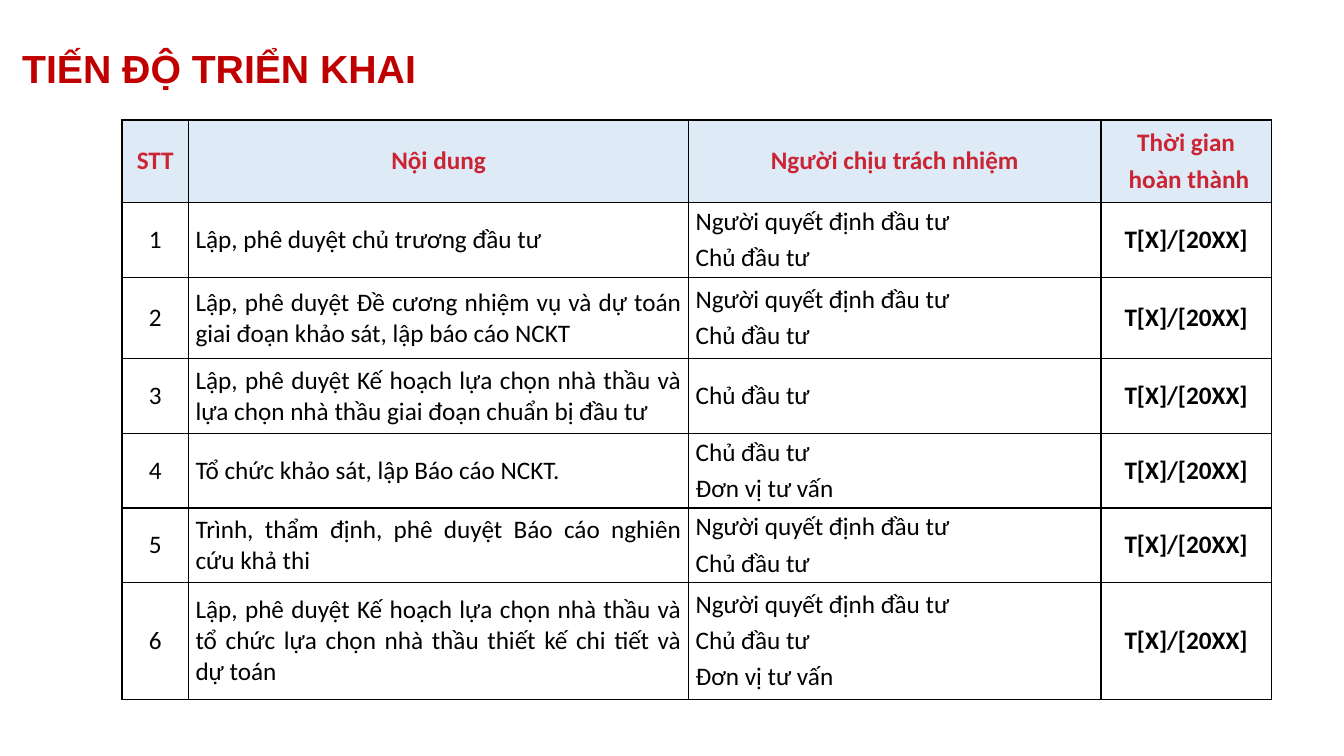
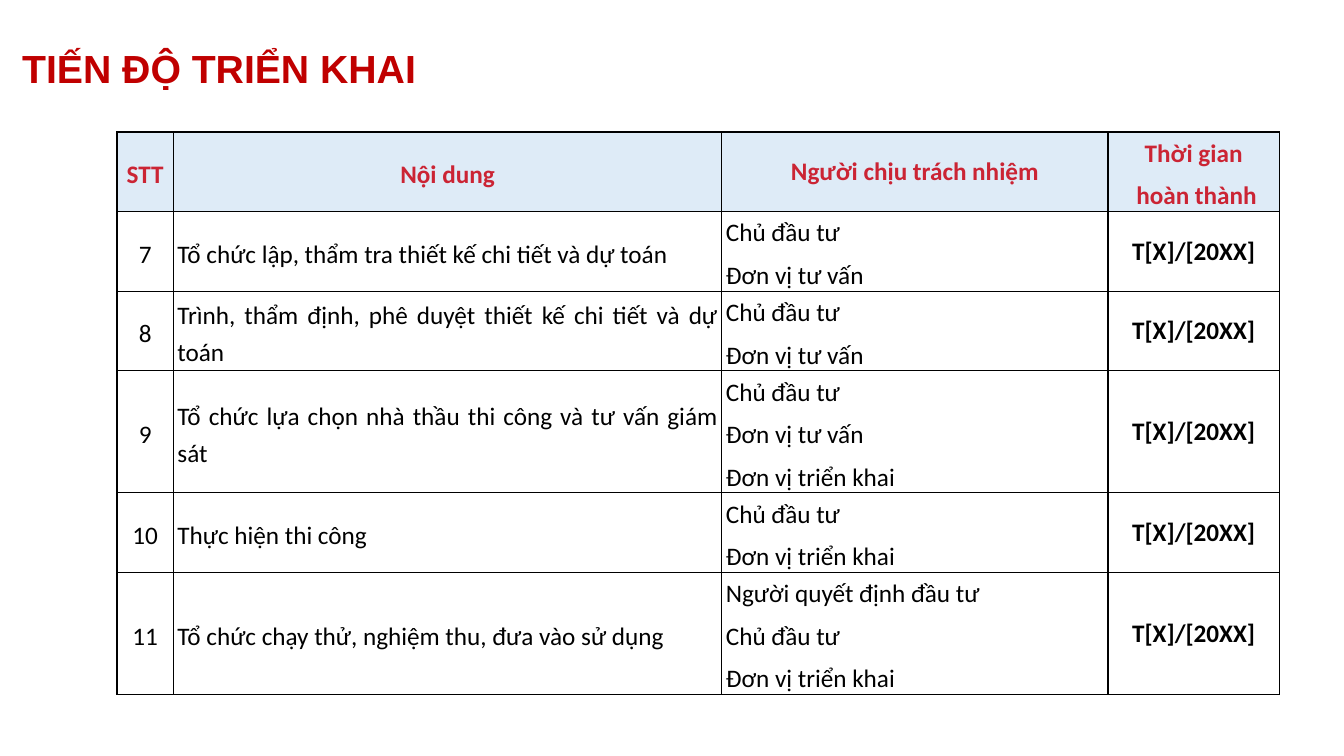
"""Build two slides with the project schedule tables."""
from lxml import etree
from pptx import Presentation
from pptx.dml.color import RGBColor
from pptx.enum.text import MSO_ANCHOR, MSO_AUTO_SIZE, PP_ALIGN
from pptx.oxml.ns import qn
from pptx.util import Inches, Pt

LEFT, CENTER, FULL = PP_ALIGN.LEFT, PP_ALIGN.CENTER, PP_ALIGN.JUSTIFY
MIDDLE = MSO_ANCHOR.MIDDLE
FIXED = MSO_AUTO_SIZE.NONE

COLORS = {"title": "C00000", "head": "CB2434", "band": "DEEBF7",
          "text": "000000", "line": "000000"}
TITLE = "TIẾN ĐỘ TRIỂN KHAI"
HEADS = ["STT", "Nội dung", "Người chịu trách nhiệm", "Thời gian\n hoàn thành"]
DATE = "T[X]/[20XX]"
BOSS = "Người quyết định đầu tư"
OWNER = "Chủ đầu tư"
ADVISER = "Đơn vị tư vấn"
BUILDER = "Đơn vị triển khai"

PLAN = [
    ("Lập, phê duyệt chủ trương đầu tư", [BOSS, OWNER]),
    ("Lập, phê duyệt Đề cương nhiệm vụ và dự toán giai đoạn khảo sát, "
     "lập báo cáo NCKT", [BOSS, OWNER]),
    ("Lập, phê duyệt Kế hoạch lựa chọn nhà thầu và lựa chọn nhà thầu "
     "giai đoạn chuẩn bị đầu tư", [OWNER]),
    ("Tổ chức khảo sát, lập Báo cáo NCKT.", [OWNER, ADVISER]),
    ("Trình, thẩm định, phê duyệt Báo cáo nghiên cứu khả thi", [BOSS, OWNER]),
    ("Lập, phê duyệt Kế hoạch lựa chọn nhà thầu và tổ chức lựa chọn nhà thầu "
     "thiết kế chi tiết và dự toán", [BOSS, OWNER, ADVISER]),
]
WORK = [
    ("Tổ chức lập, thẩm tra thiết kế chi tiết và dự toán", [OWNER, ADVISER]),
    ("Trình, thẩm định, phê duyệt thiết kế chi tiết và dự toán", [OWNER, ADVISER]),
    ("Tổ chức lựa chọn nhà thầu thi công và tư vấn giám sát",
     [OWNER, ADVISER, BUILDER]),
    ("Thực hiện thi công", [OWNER, BUILDER]),
    ("Tổ chức chạy thử, nghiệm thu, đưa vào sử dụng", [BOSS, OWNER, BUILDER]),
]


def write(frame, text, font="Calibri", size=18, color="text", bold=False,
          align=LEFT, gap=2, lead=1.0, indent=0):
    """Fill a text frame, one paragraph per line of text."""
    for i, line in enumerate(text.split("\n")):
        para = frame.paragraphs[0] if i == 0 else frame.add_paragraph()
        para.alignment = align
        para.space_before = para.space_after = Pt(gap)
        para.line_spacing = lead
        if indent:
            props = para._p.get_or_add_pPr()
            props.set("marL", "0")
            props.set("indent", str(Inches(indent)))
        run = para.add_run()
        run.text = line
        run.font.name, run.font.size, run.font.bold = font, Pt(size), bold
        run.font.color.rgb = RGBColor.from_string(COLORS[color])


class Deck:
    """Hold the shared style and the current slide."""

    def __init__(self):
        """Start an empty wide deck."""
        self.file = Presentation()
        self.file.slide_width = Inches(13.33)
        self.file.slide_height = Inches(7.5)
        self.slide = None

    def page(self, title):
        """Add a slide with its title."""
        self.slide = self.file.slides.add_slide(self.file.slide_layouts[5])
        box = self.slide.shapes.title
        box.left, box.top = Inches(0), Inches(0.44)
        box.width, box.height = Inches(8.69), Inches(0.46)
        frame = box.text_frame
        frame.auto_size, frame.word_wrap = FIXED, True
        frame.vertical_anchor = MIDDLE
        frame.margin_left = frame.margin_right = Inches(0.1)
        frame.margin_top = frame.margin_bottom = Inches(0.1)
        write(frame, title, font="Arial", size=28, color="title", bold=True,
              gap=0, indent=0.12)

    def border(self, cell):
        """Draw thin lines on all sides of a cell."""
        props = cell._tc.get_or_add_tcPr()
        for side in ("a:lnL", "a:lnR", "a:lnT", "a:lnB"):
            line = etree.SubElement(props, qn(side), w=str(Pt(1)))
            fill = etree.SubElement(line, qn("a:solidFill"))
            etree.SubElement(fill, qn("a:srgbClr"), val=COLORS["line"])

    def cell(self, cell, text, pad, band=False, **style):
        """Format one cell and write its text."""
        cell.margin_left = cell.margin_right = Inches(pad)
        cell.margin_top = cell.margin_bottom = 0
        cell.vertical_anchor = MIDDLE
        self.border(cell)
        if band:
            cell.fill.solid()
            cell.fill.fore_color.rgb = RGBColor.from_string(COLORS["band"])
        else:
            cell.fill.background()
        write(cell.text_frame, text, **style)

    def table(self, left, top, cols, rows, tasks, first, pad, lead):
        """Add a schedule table numbered from first."""
        grid = self.slide.shapes.add_table(
            len(rows), len(cols), Inches(left), Inches(top),
            Inches(sum(cols)), Inches(sum(rows))).table
        grid.first_row = grid.horz_banding = False
        for col, width in zip(grid.columns, cols):
            col.width = Inches(width)
        for row, height in zip(grid.rows, rows):
            row.height = Inches(height)
        for c, head in enumerate(HEADS):
            self.cell(grid.cell(0, c), head, pad, band=True, color="head",
                      bold=True, align=CENTER, lead=1.0 if c == 2 else lead)
        for r, (task, team) in enumerate(tasks, 1):
            self.cell(grid.cell(r, 0), str(first + r - 1), pad,
                      align=CENTER, lead=lead)
            self.cell(grid.cell(r, 1), task, pad, align=FULL, lead=lead)
            self.cell(grid.cell(r, 2), "\n".join(team), pad, lead=lead)
            self.cell(grid.cell(r, 3), DATE, pad, bold=True, align=CENTER)


def main():
    """Build and save the deck."""
    deck = Deck()
    deck.page(TITLE)
    deck.table(1.21, 1.19, [0.66, 4.96, 4.09, 1.69],
               [0.82, 0.74, 0.81, 0.74, 0.74, 0.74, 1.16],
               PLAN, first=1, pad=0.07, lead=1.0)
    deck.page(TITLE)
    deck.table(1.16, 1.31, [0.56, 5.44, 3.83, 1.7],
               [0.79, 0.79, 0.79, 1.21, 0.79, 1.21],
               WORK, first=len(PLAN) + 1, pad=0.04, lead=1.2)
    deck.file.save("out.pptx")


if __name__ == "__main__":
    main()
